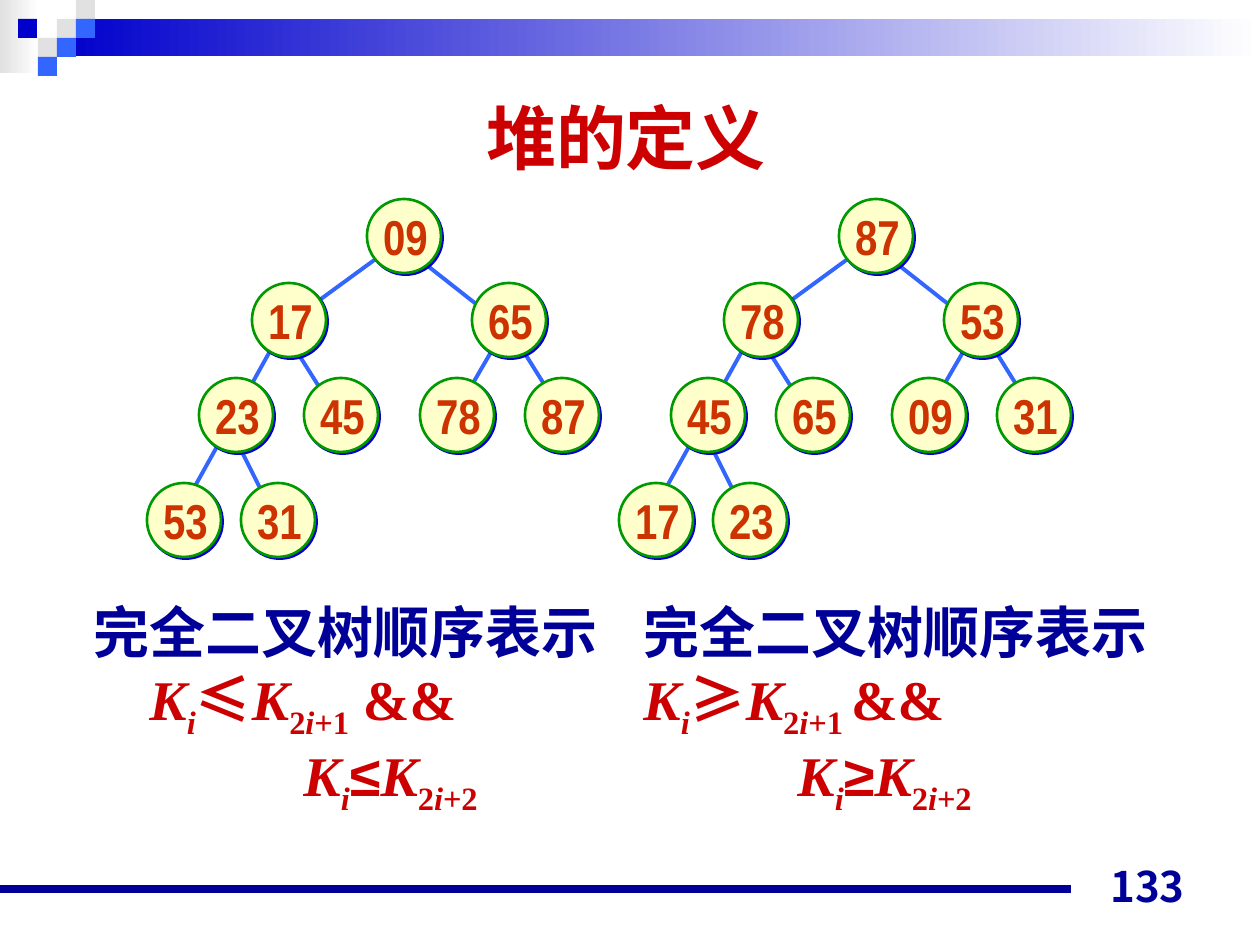
from lxml import etree
from pptx import Presentation
from pptx.dml.color import RGBColor
from pptx.enum.shapes import MSO_CONNECTOR as Connector, MSO_SHAPE as Shape
from pptx.enum.text import MSO_ANCHOR as Anchor, PP_ALIGN as Align
from pptx.oxml.ns import qn
from pptx.util import Pt

PX = 914400 / 126
NAVY, BLUE, SKY, GREY = "000099", "0000CC", "3366FF", "E1E1E1"
RED, WHITE = "CC0000", "FFFFFF"
NODE_SIZE = 74
TREE_GAP = 472
NODE_PLACES = [(367, 199), (252, 283), (472, 283), (199, 378), (304, 378),
               (420, 378), (525, 378), (147, 483), (241, 483)]
EDGES = [(284, 326, 179, 515), (494, 347, 451, 421), (514, 336, 567, 421),
         (294, 347, 347, 431), (242, 452, 284, 536), (410, 252, 504, 326),
         (399, 242, 284, 326)]
MIN_HEAP = ["09", "17", "65", "23", "45", "78", "87", "53", "31"]
MAX_HEAP = ["87", "78", "53", "45", "65", "09", "31", "17", "23"]
SQUARES = [(57, 19, GREY), (76, 0, GREY), (76, 19, SKY), (38, 38, GREY),
           (18, 19, BLUE), (57, 38, SKY), (38, 57, SKY)]


def emu(*lengths):
    return [round(length * PX) for length in lengths]


def color(value):
    return RGBColor.from_string(value)


def format_run(run, size, name, value, italic=False, baseline=0):
    font = run.font
    font.size, font.name, font.bold, font.italic = Pt(size), name, True, italic
    font.color.rgb = color(value)
    properties = run._r.get_or_add_rPr()
    etree.SubElement(properties, qn("a:ea")).set("typeface", name)
    if baseline:
        properties.set("baseline", str(baseline * 1000))


def add_effects(shape):
    return etree.SubElement(shape._element.spPr, qn("a:effectLst"))


def add_rectangle(slide, box, value, gradient=False):
    shape = slide.shapes.add_shape(Shape.RECTANGLE, *emu(*box))
    shape.shadow.inherit = False
    shape.line.fill.background()
    if gradient:
        shape.fill.gradient()
        shape.fill.gradient_angle = 180
        for stop, stop_color in zip(shape.fill.gradient_stops, (WHITE, value)):
            stop.color.rgb = color(stop_color)
    else:
        shape.fill.solid()
        shape.fill.fore_color.rgb = color(value)


def add_line(slide, ends, value, width):
    line = slide.shapes.add_connector(Connector.STRAIGHT, *emu(*ends))
    line.line.color.rgb = color(value)
    line.line.width = Pt(width)
    add_effects(line)


def add_node(slide, left, top, key):
    node = slide.shapes.add_shape(Shape.OVAL, *emu(left, top, NODE_SIZE, NODE_SIZE))
    node.fill.solid()
    node.fill.fore_color.rgb = color("FFFFCC")
    node.line.color.rgb = color("009900")
    node.line.width = Pt(1.5)
    shadow = etree.SubElement(add_effects(node), qn("a:outerShdw"),
                              dist=str(Pt(1.4)), dir="2700000")
    etree.SubElement(shadow, qn("a:srgbClr")).set("val", BLUE)
    frame = node.text_frame
    frame.text = key
    frame.word_wrap = False
    frame.vertical_anchor = Anchor.MIDDLE
    frame.margin_right = frame.margin_top = frame.margin_bottom = 0
    frame.margin_left = emu(3)[0]
    frame.paragraphs[0].alignment = Align.CENTER
    format_run(frame.paragraphs[0].runs[0], 28, "Arial Narrow", "CC3300")


def add_tree(slide, keys, shift):
    for x1, y1, x2, y2 in EDGES:
        add_line(slide, (x1 + shift, y1, x2 + shift, y2), SKY, 2.25)
    for (left, top), key in zip(NODE_PLACES, keys):
        add_node(slide, left + shift, top, key)


def add_formula(paragraph, relation, relation_font, offset, ending=""):
    serif = "Times New Roman"
    pieces = [("K", serif, True, 0), ("i", serif, True, -25),
              (relation, relation_font, False, 0), ("K", serif, True, 0),
              ("2", serif, False, -25), ("i", serif, True, -25),
              (offset, serif, False, -25)]
    if ending:
        pieces.append((ending, serif, False, 0))
    for text, name, italic, baseline in pieces:
        run = paragraph.add_run()
        run.text = text
        format_run(run, 32, name, RED, italic, baseline)


def add_definition(slide, left, relation, indents, offset, ending):
    frame = slide.shapes.add_textbox(*emu(left, 591, 545, 233)).text_frame
    frame.word_wrap = True
    heading = frame.paragraphs[0]
    heading.text = "完全二叉树顺序表示"
    format_run(heading.runs[0], 32, "Arial", NAVY)
    first, second = frame.add_paragraph(), frame.add_paragraph()
    add_formula(first, relation, "Noto Sans CJK SC", offset, ending)
    add_formula(second, relation, "Arial", "+2")
    for paragraph, indent in zip((first, second), indents):
        properties = paragraph._p.get_or_add_pPr()
        properties.set("marL", str(emu(indent)[0]))
        properties.set("indent", "0")


def add_title(slide, text):
    title = slide.shapes.title
    title.left, title.top, title.width, title.height = emu(59, 73, 1134, 127)
    frame = title.text_frame
    frame.text = text
    frame.vertical_anchor = Anchor.MIDDLE
    frame.paragraphs[0].alignment = Align.CENTER
    format_run(frame.paragraphs[0].runs[0], 40, "Arial", RED)


def add_page_number(slide, text):
    frame = slide.shapes.add_textbox(*emu(903, 854, 294, 63)).text_frame
    frame.text = text
    frame.word_wrap = True
    frame.vertical_anchor = Anchor.BOTTOM
    frame.paragraphs[0].alignment = Align.RIGHT
    format_run(frame.paragraphs[0].runs[0], 24, "Noto Sans CJK JP", NAVY)


def add_decoration(slide):
    add_rectangle(slide, (0, 0, 39, 73), GREY, gradient=True)
    add_rectangle(slide, (57, 19, 1203, 37), BLUE, gradient=True)
    for left, top, value in SQUARES:
        add_rectangle(slide, (left, top, 19, 19), value)
    add_line(slide, (0, 889, 1071, 889), NAVY, 4.5)


def main():
    presentation = Presentation()
    presentation.slide_width, presentation.slide_height = emu(1260, 945)
    slide = presentation.slides.add_slide(presentation.slide_layouts[5])
    add_decoration(slide)
    add_title(slide, "堆的定义")
    add_definition(slide, 81, "≤", (56, 210), "+1", " &&")
    add_definition(slide, 631, "≥", (0, 154), "+1 ", "&&")
    add_tree(slide, MIN_HEAP, 0)
    add_tree(slide, MAX_HEAP, TREE_GAP)
    add_page_number(slide, "133")
    presentation.save("out.pptx")


if __name__ == "__main__":
    main()
